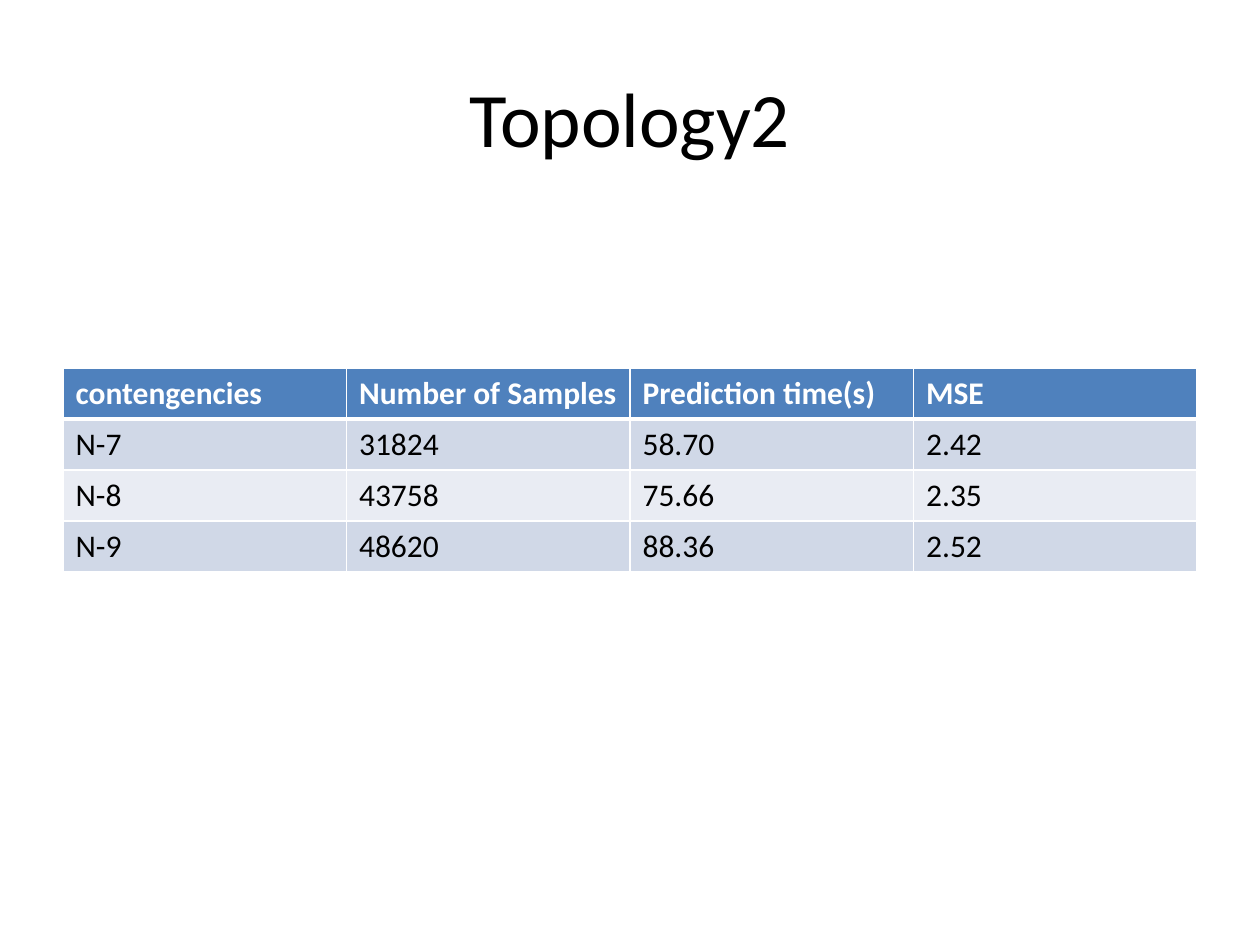
from dataclasses import dataclass

from lxml.etree import SubElement
from pptx import Presentation
from pptx.dml.color import RGBColor as RGB
from pptx.enum.text import MSO_ANCHOR as Anchor, PP_ALIGN as Align
from pptx.oxml.ns import qn
from pptx.util import Inches, Pt


@dataclass(frozen=True)
class Theme:
    font: str = "Calibri"
    title_size: int = 44
    table_size: int = 18
    text: str = "000000"
    header_text: str = "FFFFFF"
    header_fill: str = "4F81BD"
    bands: tuple = ("D0D8E7", "E9ECF3")
    border: str = "FFFFFF"
    thin: float = 0.96
    thick: float = 3


THEME = Theme()
ROWS = [
    ("contengencies", "Number of Samples", "Prediction time(s)", "MSE "),
    ("N-7", "31824", "58.70", "2.42"),
    ("N-8", "43758", "75.66", "2.35"),
    ("N-9", "48620", "88.36", "2.52"),
]


def style(p, size, color, bold=False):
    p.font.name = THEME.font
    p.font.size = Pt(size)
    p.font.bold = bold
    p.font.color.rgb = RGB.from_string(color)


def set_borders(cell, widths):
    """Draw cell edges; widths run left, right, top, bottom."""
    props = cell._tc.get_or_add_tcPr()
    for i, (edge, width) in enumerate(zip(("lnL", "lnR", "lnT", "lnB"), widths)):
        line = props.makeelement(qn(f"a:{edge}"), {"w": str(Pt(width))})
        fill = SubElement(line, qn("a:solidFill"))
        SubElement(fill, qn("a:srgbClr"), val=THEME.border)
        props.insert(i, line)


def add_title(s, text, left, top, width, height):
    box = s.shapes.add_textbox(Inches(left), Inches(top), Inches(width), Inches(height))
    tf = box.text_frame
    tf.word_wrap = True
    tf.vertical_anchor = Anchor.MIDDLE
    p = tf.paragraphs[0]
    p.text = text
    p.alignment = Align.CENTER
    style(p, THEME.title_size, THEME.text)


def add_results(s, rows, left, top, width, height):
    frame = s.shapes.add_table(len(rows), len(rows[0]), Inches(left), Inches(top),
                               Inches(width), Inches(height))
    for i, row in enumerate(rows):
        header = i == 0
        fill = THEME.header_fill if header else THEME.bands[(i - 1) % 2]
        color = THEME.header_text if header else THEME.text
        # The heavy rule is shared by the header and the first data row
        top_width = THEME.thick if i == 1 else THEME.thin
        bottom_width = THEME.thick if header else THEME.thin
        for j, value in enumerate(row):
            cell = frame.table.cell(i, j)
            cell.text = value
            style(cell.text_frame.paragraphs[0], THEME.table_size, color, header)
            cell.fill.solid()
            cell.fill.fore_color.rgb = RGB.from_string(fill)
            set_borders(cell, (THEME.thin, THEME.thin, top_width, bottom_width))


def build_slide(prs):
    s = prs.slides.add_slide(prs.slide_layouts[6])
    # Title
    add_title(s, "Topology2", 0.5, 0.3, 9, 1.25)
    # Results table
    add_results(s, ROWS, 0.5, 2.92, 9, 1.62)


prs = Presentation()
prs.slide_width, prs.slide_height = Inches(10), Inches(7.5)
build_slide(prs)
prs.save("out.pptx")
